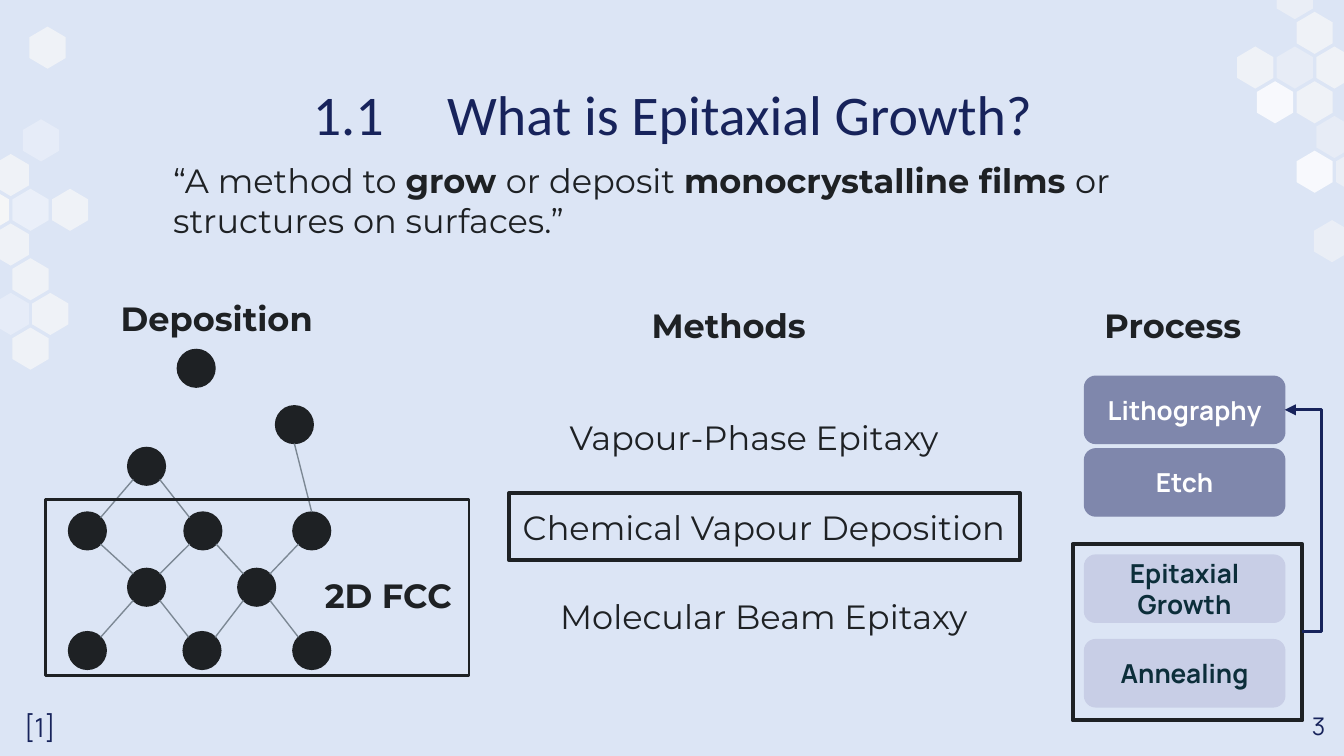
from lxml import etree
from pptx import Presentation
from pptx.dml.color import RGBColor
from pptx.enum.shapes import MSO_CONNECTOR, MSO_SHAPE
from pptx.enum.text import MSO_ANCHOR, PP_ALIGN
from pptx.oxml.ns import qn
from pptx.util import Pt

RECT, OVAL, ROUND = MSO_SHAPE.RECTANGLE, MSO_SHAPE.OVAL, MSO_SHAPE.ROUNDED_RECTANGLE
LINE, ELBOW = MSO_CONNECTOR.STRAIGHT, MSO_CONNECTOR.ELBOW
LEFT, MID, RIGHT = PP_ALIGN.LEFT, PP_ALIGN.CENTER, PP_ALIGN.RIGHT
TOP, CENTRE = MSO_ANCHOR.TOP, MSO_ANCHOR.MIDDLE

HEX = {
    "sky": "DCE5F5", "ink": "1E2124", "navy": "17235B", "bond": "7C8894",
    "slate": "7F87AC", "lilac": "C8CEE6", "teal": "0C2E3A",
    "white": "FFFFFF", "pale": "F8F8F8",
}
RGB = {name: RGBColor.from_string(code) for name, code in HEX.items()}

deck = Presentation()
deck.slide_width, deck.slide_height = Pt(720), Pt(405)
slide = deck.slides.add_slide(deck.slide_layouts[6])
slide.background.fill.solid()
slide.background.fill.fore_color.rgb = RGB["sky"]
shapes = slide.shapes


def write(text, area=None, shape=None, font="Montserrat", size=18,
          color="ink", bold=False, align=LEFT, anchor=TOP):
    """Set text in a shape or a new box; *stars* mark bold words."""
    if shape is None:
        shape = shapes.add_textbox(*map(Pt, area))
    frame = shape.text_frame
    frame.word_wrap = True
    frame.vertical_anchor = anchor
    frame.margin_left = frame.margin_right = Pt(7.2)
    frame.margin_top = frame.margin_bottom = Pt(7.2)
    para = frame.paragraphs[0]
    para.alignment = align
    for i, part in enumerate(text.split("*")):
        run = para.add_run()
        run.text = part
        run.font.name, run.font.size = font, Pt(size)
        run.font.bold = bold or i % 2 == 1
        run.font.color.rgb = RGB[color]


def draw(kind, area, fill=None, line="ink", width=0.75):
    shape = shapes.add_shape(kind, *map(Pt, area))
    shape.shadow.inherit = False
    if fill:
        shape.fill.solid()
        shape.fill.fore_color.rgb = RGB[fill]
    else:
        shape.fill.background()
    shape.line.color.rgb = RGB[line]
    shape.line.width = Pt(width)
    return shape


# Honeycomb corners: origin, colour, opacity, (column, row) cells
right, left = (672.5, 36.2), (5.8, 93.8)
combs = [
    (right, "pale", 50, [(5, 3), (3.88, 5), (2, -2)]),
    (right, "pale", 40, [(4, 2), (2, 0)]),
    (right, "white", 80, [(3, 3), (1, 1)]),
    (right, "pale", 70, [(4, 0), (3, -1), (3, 1), (0, 0)]),
    (left, "pale", 70, [(3, 1), (1.86, -3.67), (0, 0), (0, 2),
                        (1, 3), (2, 4), (1, 5)]),
    (left, "white", 30, [(1.53, -1), (0, 4)]),
    (left, "white", 40, [(1, 1)]),
    (left, "pale", 90, [(-1, 1)]),
]
corners = [(0, -11.3), (9.7, -5.6), (9.7, 5.6), (0, 11.3), (-9.7, 5.6), (-9.7, -5.6)]
for (x0, y0), color, alpha, cells in combs:
    for col, row in cells:
        x, y = x0 + 10.6 * col, y0 + 18.6 * row
        points = [(Pt(x + dx), Pt(y + dy)) for dx, dy in corners]
        path = shapes.build_freeform(*points[0], scale=1.0)
        path.add_line_segments(points[1:], close=True)
        cell = path.convert_to_shape()
        cell.shadow.inherit = False
        cell.line.fill.background()
        cell.fill.solid()
        cell.fill.fore_color.rgb = RGB[color]
        tint = cell.fill._xPr.find(qn("a:solidFill"))[0]
        etree.SubElement(tint, qn("a:alpha"), val=str(alpha * 1000))

# Title and quote
write("1.1\tWhat is Epitaxial Growth?", (56.9, 35.3, 607, 45.4),
      font="Calibri", size=30, color="navy", align=MID)
write("“A method to *grow *or deposit *monocrystalline films *or structures on surfaces.”",
      (85.7, 78.5, 607, 49))

# Atoms of the crystal
atoms = [
    (46.8, 284.4), (78.5, 314.6), (108.7, 284.4), (137.5, 314.6),
    (167, 284.4), (167, 348.5), (108.2, 348.5), (46.8, 348.5),
    (78.5, 249.8), (157.7, 227.5), (105.1, 197.3),
]
rad = 10.1
for x, y in atoms:
    draw(OVAL, (x - rad, y - rad, 2 * rad, 2 * rad), "ink")

# Bonds run from the upper atom to the lower one, rim to rim
bonds = [(0, 1), (2, 1), (2, 3), (4, 3), (3, 6), (3, 5),
         (1, 6), (1, 7), (8, 0), (8, 2), (9, 4)]
links = []
for high, low in bonds:
    (x1, y1), (x2, y2) = atoms[high], atoms[low]
    if high == 9:
        dx, dy = 0, rad
    else:
        dx, dy = (7.1 if x2 > x1 else -7.1), 7.1
    ends = (x1 + dx, y1 + dy, x2 - dx, y2 - dy)
    bond = shapes.add_connector(LINE, *map(Pt, ends))
    bond.line.color.rgb = RGB["bond"]
    bond.line.width = Pt(0.75)
    links.append(bond)

draw(RECT, (24.5, 267.8, 226.8, 94.3), width=1.5)
write("2D FCC", (167, 301, 87.1, 31), bold=True)

# Column headings
for text, x, y in [("Deposition", 57.6, 152.6), ("Methods", 342, 156.2),
                   ("Process", 584.6, 156.2)]:
    write(text, (x, y, 130, 31), bold=True)

# Methods
for text, x, y in [("Vapour-Phase Epitaxy", 298.1, 216),
                   ("Chemical Vapour Deposition", 272.9, 264.2),
                   ("Molecular Beam Epitaxy", 293, 311.8)]:
    write(text, (x, y, 291.6, 31))
draw(RECT, (272.9, 264.2, 273.6, 36), width=2.25)

# Process steps
draw(RECT, (574.6, 291.6, 123.1, 94.3), width=2.25)
for text, y, fill, color in [("Lithography", 201.6, "slate", "white"),
                             ("Etch", 240.5, "slate", "white"),
                             ("Epitaxial Growth", 297.4, "lilac", "teal"),
                             ("Annealing", 342.7, "lilac", "teal")]:
    step = draw(ROUND, (581, y, 107.3, 36), fill, line=fill)
    write(text, shape=step, font="Manrope", size=14, color=color,
          bold=True, align=MID, anchor=CENTRE)

# Loop back to lithography
loop = shapes.add_connector(ELBOW, Pt(697.7), Pt(338.4), Pt(688.3), Pt(219.6))
loop.line.color.rgb = RGB["navy"]
loop.line.width = Pt(1.5)
etree.SubElement(loop.line._get_or_add_ln(), qn("a:tailEnd"), type="triangle")
guides = loop._element.spPr.find(qn("a:prstGeom")).get_or_add_avLst()
etree.SubElement(guides, qn("a:gd"), name="adj1", fmla="val -111100")
links.append(loop)
for link in links:
    etree.SubElement(link._element.spPr, qn("a:effectLst"))

# Page number and reference
write("3", (673.9, 373.7, 43.2, 31), font="Manrope", size=13,
      color="navy", align=RIGHT)
write("[1]", (5.8, 373.7, 38.9, 31), font="Manrope", size=14, color="navy")

deck.save("out.pptx")
